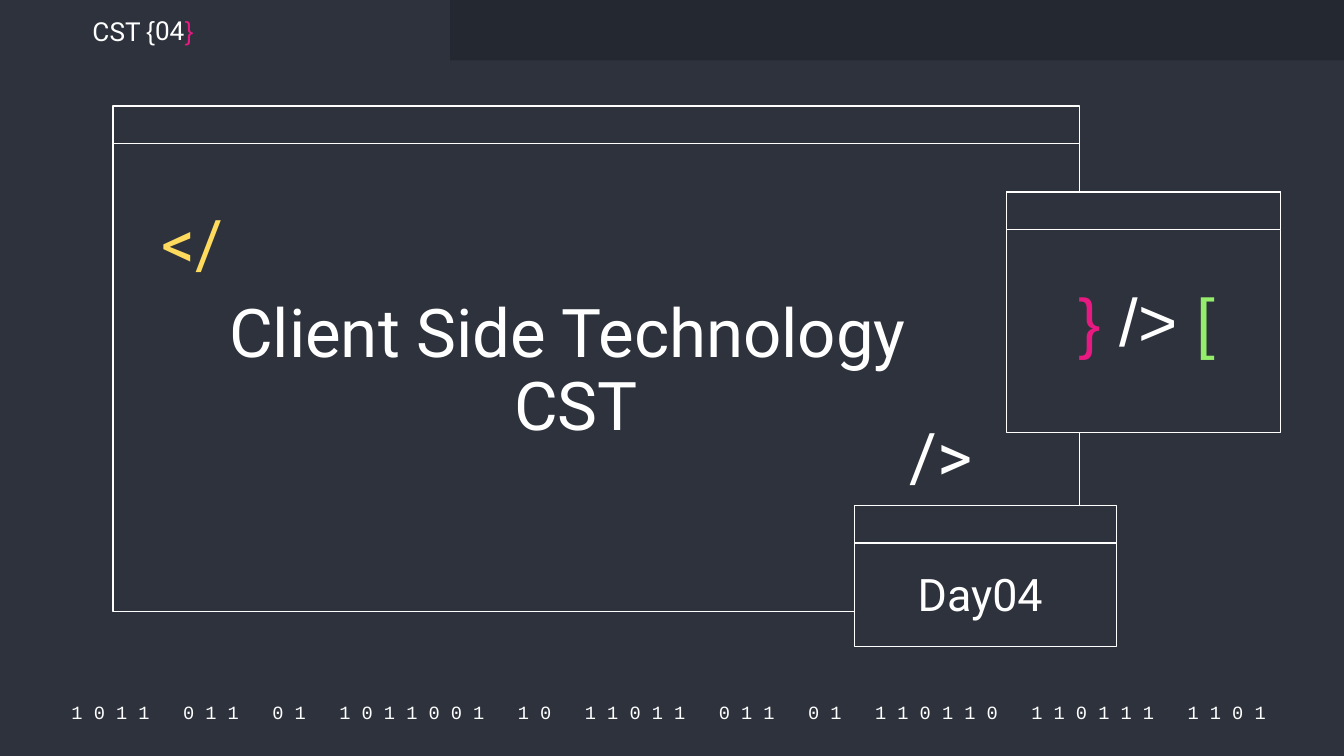
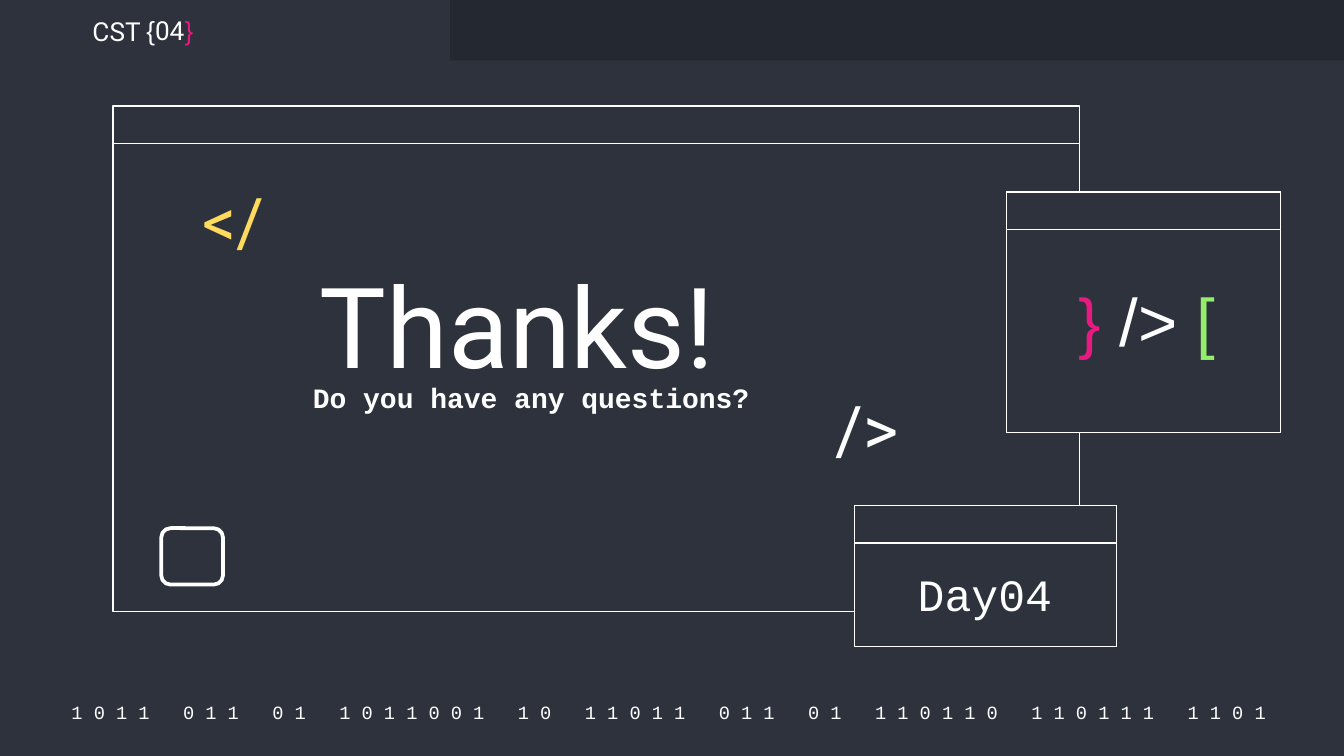
import pptx
import pptx.dml.color
import pptx.enum.shapes
import pptx.enum.text
import pptx.util

RGBColor = pptx.dml.color.RGBColor
Inches = pptx.util.Inches
Pt = pptx.util.Pt
SHAPE = pptx.enum.shapes.MSO_SHAPE
ALIGN = pptx.enum.text.PP_ALIGN
ANCHOR = pptx.enum.text.MSO_ANCHOR

SLATE = RGBColor(0x2D, 0x32, 0x3C)
DARK = RGBColor(0x24, 0x28, 0x30)
WHITE = RGBColor(0xFF, 0xFF, 0xFF)
YELLOW = RGBColor(0xFF, 0xDB, 0x5D)
PINK = RGBColor(0xE8, 0x19, 0x81)
GREEN = RGBColor(0x94, 0xEE, 0x6B)

SANS, CODE, SIGN = "Roboto", "Courier New", "Arial"
BAR = 0.28
MAIN = (0.84, 0.79, 7.19, 3.76)
DAY = (6.36, 3.76, 1.95, 1.05)
SIDE = (7.49, 1.43, 2.04, 1.79)
BITS = "1011 011 01 1011001 10 11011 011 01 110110 110111 1101"


def rect(shapes, box, fill, line=None, kind=SHAPE.RECTANGLE):
    shape = shapes.add_shape(kind, *map(Inches, box))
    shape.shadow.inherit = False
    shape.fill.solid()
    shape.fill.fore_color.rgb = fill
    if line is None:
        shape.line.fill.background()
    else:
        shape.line.color.rgb = line
        shape.line.width = Pt(0.75)
    return shape


def text(slide, box, runs, size, align=ALIGN.LEFT, anchor=ANCHOR.TOP,
         gap=None, side=0.1, bold=False):
    """Add a text box; runs are (words, font, colour)."""
    frame = slide.shapes.add_textbox(*map(Inches, box)).text_frame
    frame.word_wrap = True
    frame.vertical_anchor = anchor
    frame.margin_left = frame.margin_right = Inches(side)
    frame.margin_top = frame.margin_bottom = Inches(0.1)
    para = frame.paragraphs[0]
    para.alignment = align
    para.line_spacing = gap
    for words, font, color in runs:
        first = len(para.runs)
        for i, part in enumerate(words.split("\n")):
            if i:
                para.add_line_break()
            para.add_run().text = part
        for run in para.runs[first:]:
            run.font.name = font
            run.font.size = Pt(size)
            run.font.color.rgb = color
            run.font.bold = bold


def inside(box, x, y, w, h):
    """Turn an offset within a box into a place on the slide."""
    return box[0] + x, box[1] + y, w, h


def window(slide, box):
    """Draw an outlined window with its title bar."""
    group = slide.shapes.add_group_shape()
    rect(group.shapes, box, SLATE, WHITE)
    rect(group.shapes, inside(box, 0, 0, box[2], BAR), SLATE, WHITE)


def tab(slide, box):
    text(slide, inside(box, 0.59, 0.13, 0.64, 0.2), [("CST", SANS, WHITE)],
         14, anchor=ANCHOR.MIDDLE)
    marks = [("{", SIGN, WHITE), ("04", SANS, WHITE), ("}", SIGN, PINK)]
    text(slide, inside(box, 0.99, -0.23, 1.42, 0.67), marks, 14,
         anchor=ANCHOR.BOTTOM)


def footer(slide, box):
    bits = "   ".join(" ".join(word) for word in BITS.split()) + " "
    text(slide, box, [(bits, CODE, WHITE)], 10, ALIGN.CENTER, ANCHOR.MIDDLE)


def signs(slide, box):
    marks = [("}", SIGN, PINK), (" /> ", SIGN, WHITE), ("[", SIGN, GREEN)]
    text(slide, inside(box, 0.38, 0.62, 1.33, 0.82), marks, 36,
         ALIGN.CENTER, gap=0.9)


def tags(slide, box, start, end):
    """Place the opening and closing tags at offsets within a box."""
    for words, color, spot in (("</", YELLOW, start), ("/>", WHITE, end)):
        text(slide, inside(box, *spot, 0.77, 0.66), [(words, SANS, color)],
             36, anchor=ANCHOR.MIDDLE, gap=0.9)


def base(deck, font):
    """Add a slide with the shared parts; font is that of the day label."""
    slide = deck.slides.add_slide(deck.slide_layouts[6])
    footer(slide, (0.38, 5.2, 9.27, 0.2))
    rect(slide.shapes, (3.35, 0, 6.65, 0.45), DARK)
    for box in (MAIN, DAY, SIDE):
        window(slide, box)
    signs(slide, SIDE)
    text(slide, inside(DAY, 0.37, 0.37, 3.33, 0.58),
         [("Day04", font, WHITE)], 24, anchor=ANCHOR.MIDDLE)
    tab(slide, (0, 0, 3.35, 0.45))
    return slide


def cover(deck):
    slide = base(deck, SANS)
    tags(slide, MAIN, (0.26, 0.72), (5.83, 2.3))
    text(slide, inside(MAIN, 0.65, 1.34, 5.59, 1.23),
         [("Client Side Technology \nCST", SANS, WHITE)], 36,
         ALIGN.CENTER, gap=0.9)


def thanks(deck):
    slide = base(deck, CODE)
    text(slide, inside(MAIN, 1.54, 1.13, 3.6, 1.09),
         [("Thanks!", SANS, WHITE)], 60, gap=0.9, side=0)
    text(slide, inside(MAIN, 1.39, 1.94, 3.6, 1.09),
         [("Do you have any questions?", CODE, WHITE)], 15, bold=True)
    tags(slide, MAIN, (0.57, 0.55), (5.28, 2.1))
    icon = rect(slide.shapes, inside(MAIN, 0.36, 3.14, 0.46, 0.42), SLATE,
                WHITE, SHAPE.ROUNDED_RECTANGLE)
    icon.line.width = Pt(2)


def main():
    deck = pptx.Presentation()
    deck.slide_width = Inches(10)
    deck.slide_height = Inches(10) * 9 // 16
    fill = deck.slide_master.background.fill
    fill.solid()
    fill.fore_color.rgb = SLATE
    cover(deck)
    thanks(deck)
    deck.save("out.pptx")


if __name__ == "__main__":
    main()
